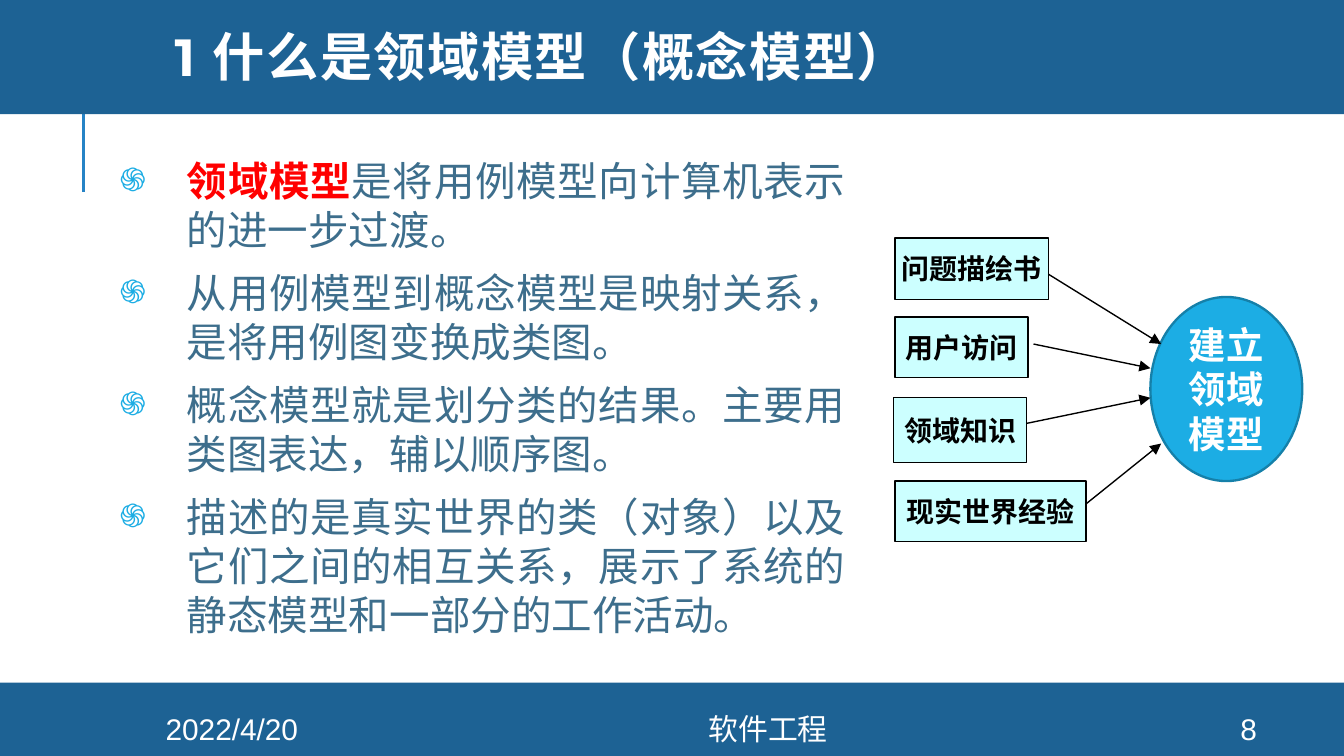
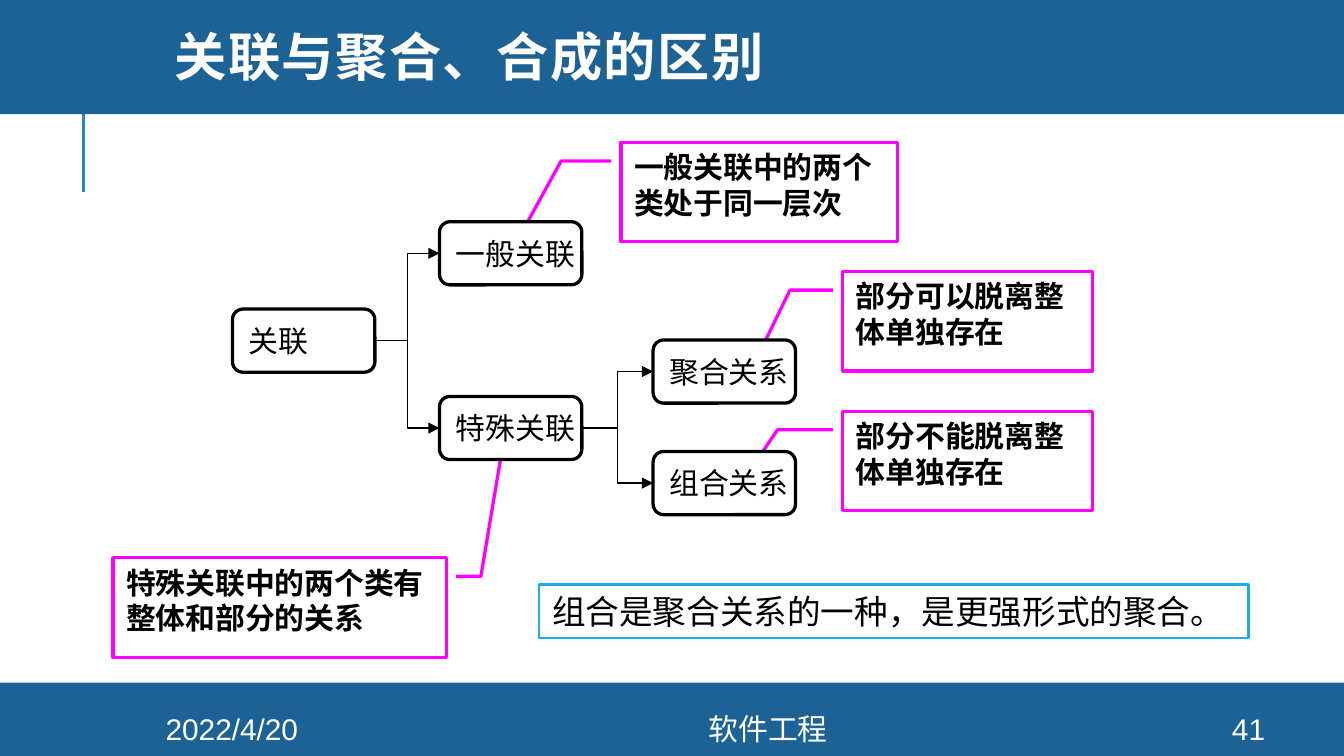
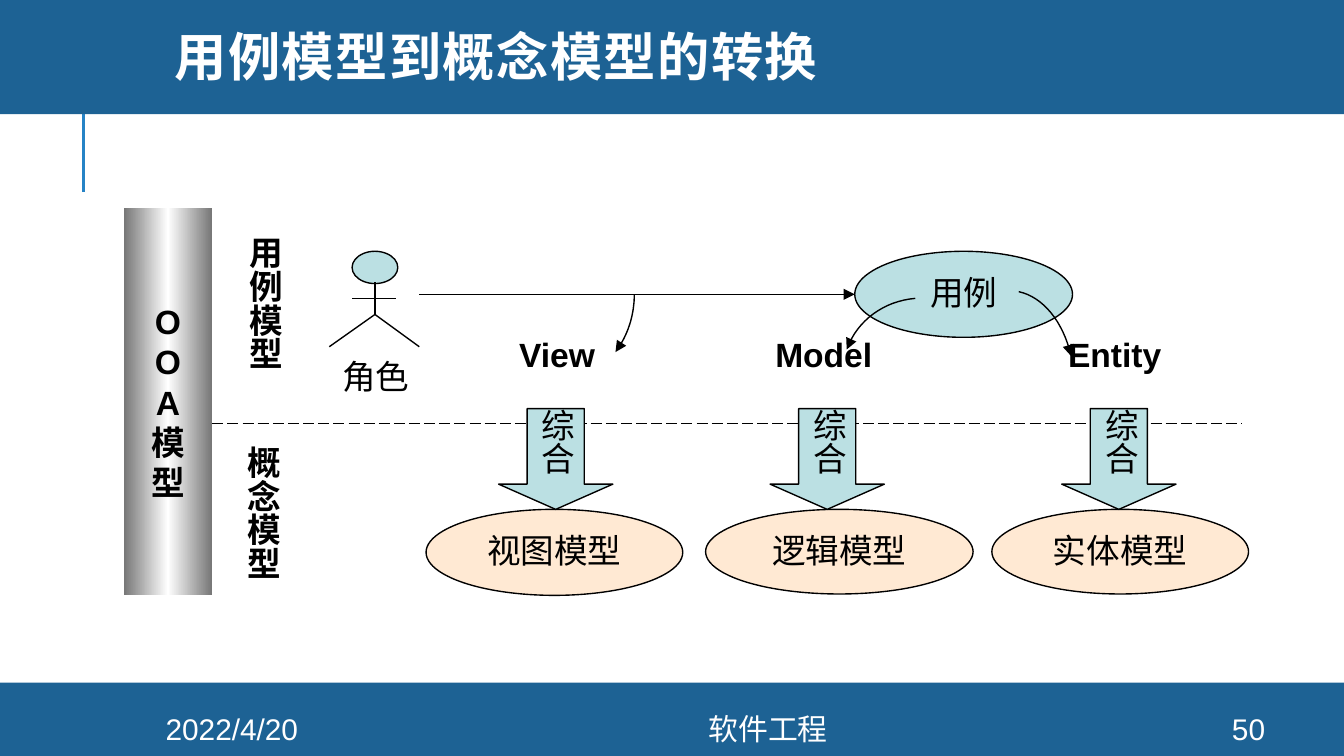
from copy import deepcopy
from dataclasses import dataclass, replace
from typing import NamedTuple, Optional

from lxml import etree
from pptx import Presentation
from pptx import util as u
from pptx.dml.color import RGBColor
from pptx.enum import dml, shapes, text
from pptx.oxml import ns

SHAPE = shapes.MSO_SHAPE
LINK = shapes.MSO_CONNECTOR
ALIGN = text.PP_ALIGN
ANCHOR = text.MSO_ANCHOR


# ---- Theme and descriptions ----
@dataclass(frozen=True)
class Theme:
    band: str = "1D6294"
    rule: str = "2683C6"
    accent: str = "1CADE4"
    accent_dark: str = "1580A9"
    body: str = "3D6E8C"
    key: str = "FF0000"
    white: str = "FFFFFF"
    black: str = "000000"
    source: str = "CCFFFF"
    callout: str = "FF00FF"
    use_case: str = "BBE0E3"
    concept: str = "FFCC99"
    metal: str = "767676"
    sans: str = "Arial"
    serif: str = "Times New Roman"
    heading: str = "Montserrat"
    title_size: float = 28
    body_size: float = 21.7
    goal_size: float = 20
    label_size: float = 18
    small_size: float = 16
    source_size: float = 15
    thin: float = 0.75
    medium: float = 1.25
    rule_width: float = 1.5
    thick: float = 1.75


T = Theme()


@dataclass(frozen=True)
class TextStyle:
    size: float = T.label_size
    font: str = T.sans
    color: str = T.black
    bold: bool = False
    align: ALIGN = ALIGN.CENTER
    anchor: ANCHOR = ANCHOR.MIDDLE
    insets: tuple[float, ...] = (0.1, 0.05, 0.1, 0.05)
    spacing: Optional[float] = None
    wrap: bool = True
    vertical: bool = False


class Box(NamedTuple):
    x: float
    y: float
    w: float
    h: float
    label: str = ""


class Look(NamedTuple):
    fill: Optional[str] = None
    line: Optional[str] = None
    width: float = T.thin


class Callout(NamedTuple):
    box: Box
    adjustments: tuple[float, ...]


class Link(NamedTuple):
    x1: float
    y1: float
    x2: float
    y2: float


FOOTER = TextStyle(T.small_size, color=T.white)
LABEL = TextStyle(spacing=0.96)
BOLD_LABEL = replace(LABEL, bold=True)
SOURCE = TextStyle(T.source_size, T.serif, bold=True, insets=(0.01,) * 4)
GOAL = replace(SOURCE, size=T.goal_size, color=T.white)
NODE = TextStyle(T.small_size, align=ALIGN.LEFT, wrap=False)
NOTE = TextStyle(T.small_size, bold=True, align=ALIGN.LEFT, anchor=ANCHOR.TOP)
SUMMARY = TextStyle(align=ALIGN.LEFT, anchor=ANCHOR.TOP)


# ---- Drawing helpers ----
def apply(obj, **values) -> None:
    for name, value in values.items():
        setattr(obj, name, value)


def rgb(color: str) -> RGBColor:
    return RGBColor.from_string(color)


def place(box: Box) -> list:
    return [u.Inches(v) for v in box[:4]]


def move(sp, box: Box) -> None:
    apply(sp, **dict(zip(("left", "top", "width", "height"), place(box))))


def add_xml(parent, tag: str, **attrs):
    return etree.SubElement(parent, ns.qn(tag), attrs)


def format_font(font, name: str, size: float, color: str, bold: bool) -> None:
    apply(font, name=name, size=u.Pt(size), bold=bold)
    font.color.rgb = rgb(color)


def write(sp, lines: list[str], st: TextStyle) -> None:
    tf = sp.text_frame
    sides = ("margin_left", "margin_top", "margin_right", "margin_bottom")
    apply(tf, word_wrap=st.wrap, vertical_anchor=st.anchor,
          **{side: u.Inches(v) for side, v in zip(sides, st.insets)})
    if st.vertical:
        sp.element.xpath(".//a:bodyPr")[0].set("vert", "eaVert")
    for i, line in enumerate(lines):
        p = tf.paragraphs[0] if i == 0 else tf.add_paragraph()
        apply(p, alignment=st.align, line_spacing=st.spacing)
        r = p.add_run()
        r.text = line
        format_font(r.font, st.font, st.size, st.color, st.bold)


def add_shape(s, kind, box: Box, look: Look, st: TextStyle = LABEL):
    sp = s.shapes.add_shape(kind, *place(box))
    sp.shadow.inherit = False
    if look.fill:
        sp.fill.solid()
        sp.fill.fore_color.rgb = rgb(look.fill)
    if look.line:
        sp.line.color.rgb = rgb(look.line)
        sp.line.width = u.Pt(look.width)
    else:
        sp.line.fill.background()
    if box.label:
        write(sp, box.label.split("\n"), st)
    return sp


def add_label(s, box: Box, st: TextStyle):
    sp = s.shapes.add_textbox(*place(box))
    write(sp, [box.label], st)
    return sp


def add_arrowhead(sp) -> None:
    add_xml(sp.line._get_or_add_ln(), "a:tailEnd", type="triangle")


def add_link(s, link: Link, kind=LINK.STRAIGHT, arrow: bool = True,
             color: str = T.black, width: float = T.thin):
    c = s.shapes.add_connector(kind, *(u.Inches(v) for v in link))
    c.line.color.rgb = rgb(color)
    c.line.width = u.Pt(width)
    if arrow:
        add_arrowhead(c)
    add_xml(c.element.spPr, "a:effectLst")
    return c


def add_curve(s, *ctrl: tuple[float, float], steps: int = 16) -> None:
    """Draw a cubic curve through sampled points, ending in an arrowhead."""
    points = []
    for i in range(steps + 1):
        t = i / steps
        weights = ((1 - t) ** 3, 3 * t * (1 - t) ** 2, 3 * t * t * (1 - t), t ** 3)
        points.append(tuple(u.Inches(sum(w * c[axis] for w, c in zip(weights, ctrl)))
                            for axis in (0, 1)))
    builder = s.shapes.build_freeform(*points[0])
    builder.add_line_segments(points[1:], close=False)
    sp = builder.convert_to_shape()
    sp.shadow.inherit = False
    sp.fill.background()
    sp.line.color.rgb = rgb(T.black)
    sp.line.width = u.Pt(T.thin)
    add_arrowhead(sp)


# ---- Shared frame ----
def move_bands_to_master(prs, s) -> None:
    tree = prs.slide_master.shapes.element
    parts = [add_link(s, Link(0.62, 1.43, 0.62, 0.68), arrow=False,
                      color=T.rule, width=T.rule_width)]
    for box in (Box(0, 5.08, 10, 0.55), Box(0, -0.03, 10, 0.88)):
        parts.append(add_shape(s, SHAPE.RECTANGLE, box, Look(T.band)))
    for number, part in enumerate(parts, 100):
        part.element.xpath(".//p:cNvPr")[0].set("id", str(number))
        tree.append(part.element)


def add_slide(prs, layout: int, title: str, page: int):
    s = prs.slides.add_slide(prs.slide_layouts[layout])
    sp = s.shapes.title
    move(sp, Box(1.2, 0, 8.49, 0.91))
    write(sp, [title], TextStyle(T.title_size, T.heading, T.white, True,
                                 ALIGN.LEFT, spacing=0.8))
    sp.text_frame.auto_size = text.MSO_AUTO_SIZE.NONE
    sp.element.xpath(".//a:rPr")[0].set("spc", "80")
    for box in (Box(0.84, 5.31, 1.77, 0.23, "2022/4/20"),
                Box(2.61, 5.31, 6.21, 0.23, "软件工程"),
                Box(8.89, 5.31, 0.8, 0.23, str(page))):
        add_label(s, box, FOOTER)
    return s


# ---- Slide 1: domain model ----
def fill_bullets(sp, items: list[tuple[str, str]]) -> None:
    move(sp, Box(0.84, 1.11, 5.5, 3.86))
    tf = sp.text_frame
    inset = u.Inches(0.05)
    apply(tf, auto_size=text.MSO_AUTO_SIZE.NONE, vertical_anchor=ANCHOR.TOP,
          margin_left=inset, margin_top=inset, margin_right=inset, margin_bottom=inset)
    for i, (key, rest) in enumerate(items):
        p = tf.paragraphs[0] if i == 0 else tf.add_paragraph()
        pr = p._p.get_or_add_pPr()
        pr.set("marL", str(u.Inches(0.5)))
        pr.set("indent", str(u.Inches(-0.5)))
        add_xml(add_xml(pr, "a:buClr"), "a:srgbClr", val=T.accent)
        add_xml(pr, "a:buSzPct", val="80000")
        add_xml(pr, "a:buChar", char="֍")
        apply(p, alignment=ALIGN.JUSTIFY, space_before=u.Pt(8 if i else 0))
        for part, color, bold in ((key, T.key, True), (rest, T.body, False)):
            if part:
                r = p.add_run()
                r.text = part
                format_font(r.font, T.sans, T.body_size, color, bold)


def build_domain_model(prs) -> None:
    s = add_slide(prs, 1, "1 什么是领域模型（概念模型）", 8)
    move_bands_to_master(prs, s)
    fill_bullets(s.placeholders[1], [
        ("领域模型", "是将用例模型向计算机表示的进一步过渡。"),
        ("", "从用例模型到概念模型是映射关系，是将用例图变换成类图。"),
        ("", "概念模型就是划分类的结果。主要用类图表达，辅以顺序图。"),
        ("", "描述的是真实世界的类（对象）以及它们之间的相互关系，"
             "展示了系统的静态模型和一部分的工作活动。"),
    ])
    # Sources feeding the domain model
    for box in (Box(6.66, 1.77, 1.14, 0.46, "问题描绘书"),
                Box(6.66, 2.36, 0.99, 0.45, "用户访问"),
                Box(6.65, 2.96, 0.99, 0.48, "领域知识"),
                Box(6.66, 3.58, 1.42, 0.45, "现实世界经验")):
        add_shape(s, SHAPE.RECTANGLE, box, Look(T.source, T.black), SOURCE)
    add_shape(s, SHAPE.OVAL, Box(8.56, 2.21, 1.13, 1.37, "建立领域模型"),
              Look(T.accent, T.accent_dark, T.medium), GOAL)
    for link in (Link(7.8, 2.04, 8.64, 2.56), Link(7.69, 2.56, 8.56, 2.74),
                 Link(7.64, 3.15, 8.56, 2.96), Link(8.08, 3.75, 8.64, 3.3)):
        add_link(s, link)


# ---- Slide 2: kinds of association ----
def build_associations(prs) -> None:
    s = add_slide(prs, 5, "关联与聚合、合成的区别", 41)
    callouts = [
        Callout(Box(4.62, 1.06, 2.06, 0.74, "一般关联中的两个类处于同一层次"),
                (0.188, -0.035, 0.188, -0.216, 1.133, -0.403)),
        Callout(Box(0.84, 4.15, 2.48, 0.74, "特殊关联中的两个类有整体和部分的关系"),
                (0.188, 1.029, 0.188, 1.104, -1.37, 1.182)),
        Callout(Box(6.27, 2.02, 1.86, 0.74, "部分可以脱离整体单独存在"),
                (0.188, -0.039, 0.188, -0.211, 1.109, -0.389)),
        Callout(Box(6.27, 3.06, 1.86, 0.74, "部分不能脱离整体单独存在"),
                (0.188, -0.039, 0.188, -0.261, 0.574, -0.365)),
    ]
    for box, adjustments in callouts:
        sp = add_shape(s, SHAPE.LINE_CALLOUT_2, box,
                       Look(T.white, T.callout, T.thick), NOTE)
        for i, value in enumerate(adjustments):
            sp.adjustments[i] = value
    # Tree nodes and branches
    node_w, node_h = 1.06, 0.47
    nodes = {"关联": (1.73, 2.3), "一般关联": (3.27, 1.65), "特殊关联": (3.27, 2.95),
             "聚合关系": (4.86, 2.53), "组合关系": (4.86, 3.36)}
    for name, (x, y) in nodes.items():
        add_shape(s, SHAPE.ROUNDED_RECTANGLE, Box(x, y, node_w, node_h, name),
                  Look(T.white, T.black, T.thick), NODE)
    for parent, child in (("关联", "一般关联"), ("关联", "特殊关联"),
                          ("特殊关联", "聚合关系"), ("特殊关联", "组合关系")):
        (x1, y1), (x2, y2) = nodes[parent], nodes[child]
        add_link(s, Link(x1 + node_w, y1 + node_h / 2, x2, y2 + node_h / 2), LINK.ELBOW)
    sp = add_shape(s, SHAPE.RECTANGLE,
                   Box(4.01, 4.35, 5.28, 0.4, "组合是聚合关系的一种，是更强形式的聚合。"),
                   Look(T.white, T.accent, T.medium), SUMMARY)
    sp.text_frame.auto_size = text.MSO_AUTO_SIZE.SHAPE_TO_FIT_TEXT


# ---- Slide 3: from use cases to concepts ----
def add_actor(s) -> None:
    add_shape(s, SHAPE.OVAL, Box(2.62, 1.87, 0.34, 0.24), Look(T.use_case, T.black))
    for limb in (Link(2.62, 2.22, 2.95, 2.22), Link(2.79, 2.1, 2.79, 2.34),
                 Link(2.79, 2.34, 2.45, 2.58), Link(2.79, 2.34, 3.12, 2.58)):
        add_link(s, limb, arrow=False)
    add_label(s, Box(2.32, 2.48, 0.95, 0.63, "角色"), TextStyle())


def add_pillar(s) -> None:
    sp = add_shape(s, SHAPE.RECTANGLE, Box(0.92, 1.55, 0.66, 2.88, "O\nO\nA\n模型"),
                   Look(), TextStyle(bold=True))
    sp.fill.gradient()
    sp.fill.gradient_angle = 0
    stops = sp.element.xpath(".//a:gsLst")[0]
    stops.append(deepcopy(stops[0]))
    for stop, position, color in zip(sp.fill.gradient_stops, (0, 0.5, 1),
                                     (T.metal, T.white, T.metal)):
        stop.position = position
        stop.color.rgb = rgb(color)


def build_conversion(prs) -> None:
    s = add_slide(prs, 5, "用例模型到概念模型的转换", 50)
    add_actor(s)
    add_shape(s, SHAPE.OVAL, Box(6.36, 1.87, 1.62, 0.64, "用例"),
              Look(T.use_case, T.black))
    add_link(s, Link(3.12, 2.19, 6.36, 2.19))

    # Parts taken from the use case
    part_style = replace(BOLD_LABEL, insets=(0.04, 0, 0.04, 0.05), wrap=False)
    for box in (Box(3.74, 2.51, 0.81, 0.32, "View"), Box(5.71, 2.51, 0.84, 0.32, "Model"),
                Box(7.83, 2.51, 0.93, 0.32, "Entity")):
        add_label(s, box, part_style)
    add_curve(s, (4.72, 2.19), (4.72, 2.35), (4.67, 2.5), (4.58, 2.62))
    add_curve(s, (6.81, 2.22), (6.58, 2.24), (6.38, 2.38), (6.3, 2.6))
    add_curve(s, (7.58, 2.17), (7.76, 2.21), (7.91, 2.39), (7.97, 2.65))

    # Two levels
    divider = add_link(s, Link(1.58, 3.15, 9.24, 3.15), arrow=False)
    divider.line.dash_style = dml.MSO_LINE.LONG_DASH
    add_pillar(s)
    level_style = replace(BOLD_LABEL, insets=(0.02, 0.05, 0.1, 0.05), vertical=True)
    for box in (Box(1.7, 1.66, 0.54, 1.6, "用例模型"), Box(1.69, 3.22, 0.54, 1.28, "概念模型")):
        add_label(s, box, level_style)

    # Resulting models
    for box in (Box(3.17, 3.79, 1.91, 0.64, "视图模型"), Box(5.25, 3.79, 1.99, 0.63, "逻辑模型"),
                Box(7.38, 3.79, 1.91, 0.63, "实体模型")):
        sp = add_shape(s, SHAPE.OVAL, box, Look(T.concept, T.black))
        add_xml(sp.element.xpath("./p:spPr/a:solidFill/a:srgbClr")[0],
                "a:alpha", val="43000")
    arrow_style = replace(LABEL, insets=(0.1, 0, 0.1, 0.05), vertical=True)
    for x in (3.71, 5.73, 7.9):
        sp = add_shape(s, SHAPE.DOWN_ARROW, Box(x, 3.04, 0.85, 0.75, "综合"),
                       Look(T.use_case, T.black), arrow_style)
        sp.adjustments[0], sp.adjustments[1] = 0.5, 0.25


def main() -> None:
    prs = Presentation()
    # Widescreen 16:9
    apply(prs, slide_width=u.Inches(10), slide_height=u.Inches(10 * 9 / 16))
    for build in (build_domain_model, build_associations, build_conversion):
        build(prs)
    prs.save("out.pptx")


if __name__ == "__main__":
    main()
